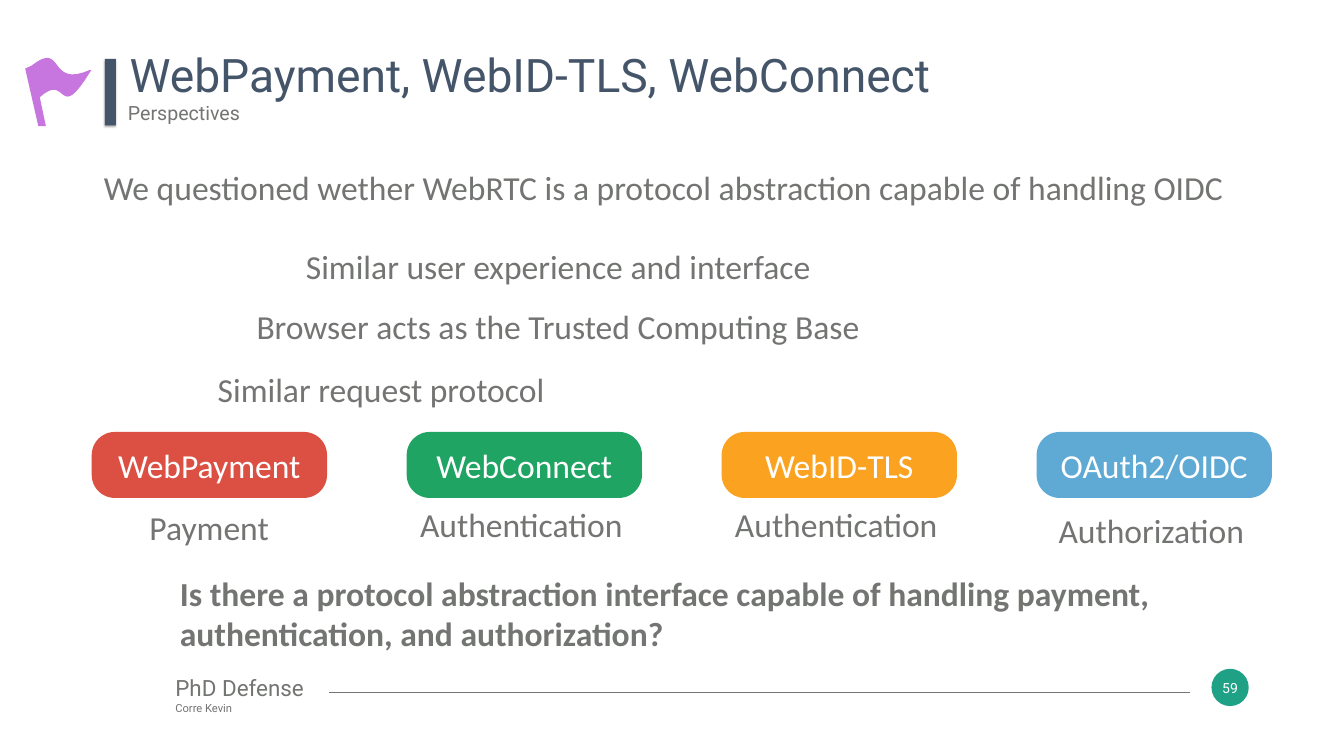
from lxml.etree import SubElement
from pptx import Presentation
from pptx.dml.color import RGBColor
from pptx.enum.shapes import MSO_CONNECTOR, MSO_SHAPE
from pptx.enum.text import MSO_ANCHOR, MSO_AUTO_SIZE, PP_ALIGN
from pptx.oxml.ns import qn
from pptx.util import Pt

PX = 9144
SLIDE = (2667, 1500)
GREY, NAVY, WHITE, TEAL, PURPLE = "737572", "445469", "FFFFFF", "1EA185", "C775DF"

TITLE = ("WebPayment, WebID-TLS, WebConnect", (257, 91, 2230, 131))
SUBTITLE = ("Perspectives", (254, 201, 2230, 61))
QUESTION = ("Is there a protocol abstraction interface capable of handling payment, "
            "authentication, and authorization?", (357, 1137, 1952, 174))
INTRO = ("We questioned wether WebRTC is a protocol abstraction capable of handling OIDC",
         (201, 327, 2342, 92))
SIMILARITIES = [
    ("Similar user experience and interface", (607, 487, 1014, 92)),
    ("Browser acts as the Trusted Computing Base", (509, 606, 1209, 92)),
    ("Similar request protocol", (432, 732, 660, 92)),
]
PROTOCOLS = [
    ("WebPayment", "DC4F43", "Payment", 248, 1000, 5),
    ("WebConnect", "20A463", "Authentication", 414, 1000, 0),
    ("WebID-TLS", "FBA321", "Authentication", 414, 1000, 0),
    ("OAuth2/OIDC", "5EAAD5", "Authorization", 380, 1011, 0),
]
CARD_LEFT, CARD_TOP, CARD_WIDTH, CARD_HEIGHT, CARD_PITCH = 182, 857, 467, 131, 625
FOOTER = [("PhD Defense", 32), ("Corre Kevin", 16)]
PAGE_NUMBER = "59"

FLAG_START = (178, 139)
FLAG_CURVES = [
    ((94, 176), (128, 79), (63, 130)),
    ((50, 136), (50, 136), (50, 136)),
    ((76, 250), (76, 250), (76, 250)),
    ((91, 250), (91, 250), (91, 250)),
    ((79, 193), (79, 193), (79, 193)),
    ((136, 141), (113, 250), (180, 141)),
    ((183, 141), (180, 139), (178, 139)),
]


def emu(values):
    return [round(value * PX) for value in values]


def color(value):
    return RGBColor.from_string(value)


def add_span(para, text, size, font="Calibri", fill=GREY, bold=False):
    span = para.add_run()
    span.text = text
    span.font.size = Pt(size)
    span.font.name = font
    span.font.bold = bold
    span.font.color.rgb = color(fill)


def set_frame(shape, anchor=MSO_ANCHOR.TOP, inset=0, wrap=True):
    frame = shape.text_frame
    frame.auto_size = MSO_AUTO_SIZE.NONE
    frame.word_wrap = wrap
    frame.vertical_anchor = anchor
    frame.margin_left = frame.margin_right = inset * PX
    frame.margin_top = frame.margin_bottom = inset * PX
    return frame


def add_text(page, text, place, size=48, inset=0, wrap=True, **style):
    box = page.shapes.add_textbox(*emu(place))
    add_span(set_frame(box, inset=inset, wrap=wrap).paragraphs[0], text, size, **style)


def paint(shape, fill):
    shape.shadow.inherit = False
    shape.fill.solid()
    shape.fill.fore_color.rgb = color(fill)
    shape.line.fill.background()


def add_block(page, kind, place, fill, text="", size=48, font="Calibri"):
    block = page.shapes.add_shape(kind, *emu(place))
    paint(block, fill)
    if text:
        para = set_frame(block, MSO_ANCHOR.MIDDLE).paragraphs[0]
        para.alignment = PP_ALIGN.CENTER
        add_span(para, text, size, font, WHITE)
    return block


def add_shadow(shape):
    effects = shape._element.spPr.find(qn("a:effectLst"))
    shadow = SubElement(effects, qn("a:outerShdw"), blurRad=str(Pt(3)),
                        dist=str(Pt(1.8)), dir="5400000", rotWithShape="0")
    shade = SubElement(shadow, qn("a:srgbClr"), val="000000")
    SubElement(shade, qn("a:alpha"), val="35000")


def curve_points(start, curves, steps=16):
    for first, second, end in curves:
        count = 1 if first == second == end else steps
        for step in range(1, count + 1):
            t = step / count
            yield tuple((1 - t) ** 3 * a + 3 * (1 - t) ** 2 * t * b
                        + 3 * (1 - t) * t ** 2 * c + t ** 3 * d
                        for a, b, c, d in zip(start, first, second, end))
        start = end


def add_header(page):
    title = page.shapes.title
    title.left, title.top, title.width, title.height = emu(TITLE[1])
    para = set_frame(title).paragraphs[0]
    para.alignment = PP_ALIGN.LEFT
    add_span(para, TITLE[0], 66, "Roboto", NAVY)
    add_shadow(add_block(page, MSO_SHAPE.RECTANGLE, (208, 117, 22, 132), NAVY))
    add_text(page, *SUBTITLE, size=28, font="Roboto")
    builder = page.shapes.build_freeform(*emu(FLAG_START), scale=1.0)
    builder.add_line_segments([emu(point) for point in curve_points(FLAG_START, FLAG_CURVES)])
    paint(builder.convert_to_shape(), PURPLE)


def add_protocols(page):
    for index, (name, fill, purpose, width, top, inset) in enumerate(PROTOCOLS):
        left = CARD_LEFT + index * CARD_PITCH
        card = add_block(page, MSO_SHAPE.ROUNDED_RECTANGLE,
                         (left, CARD_TOP, CARD_WIDTH, CARD_HEIGHT), fill, name)
        card.adjustments[0] = 0.35
        place = (left + (CARD_WIDTH - width) / 2, top, width, 92)
        add_text(page, purpose, place, inset=inset, wrap=False)


def add_footer(page):
    box = page.shapes.add_textbox(*emu((343, 1333, 399, 99)))
    frame = set_frame(box, inset=5)
    for index, (text, size) in enumerate(FOOTER):
        para = frame.add_paragraph() if index else frame.paragraphs[0]
        add_span(para, text, size, "Roboto")
    rule = page.shapes.add_connector(MSO_CONNECTOR.STRAIGHT, *emu((652, 1373, 2362, 1373)))
    rule.line.color.rgb = color(GREY)
    rule.line.width = Pt(0.25)
    SubElement(rule._element.spPr, qn("a:effectLst"))
    add_block(page, MSO_SHAPE.OVAL, (2404, 1327, 74, 74), TEAL, PAGE_NUMBER, 20, "Roboto")


def main():
    """Build the slide comparing web protocols and save it."""
    deck = Presentation()
    deck.slide_width, deck.slide_height = emu(SLIDE)
    page = deck.slides.add_slide(deck.slide_layouts[5])
    add_footer(page)
    add_header(page)
    add_text(page, *INTRO, inset=5)
    for text, place in SIMILARITIES:
        add_text(page, text, place, wrap=False)
    add_protocols(page)
    add_text(page, *QUESTION, bold=True)
    deck.save("out.pptx")


if __name__ == "__main__":
    main()
